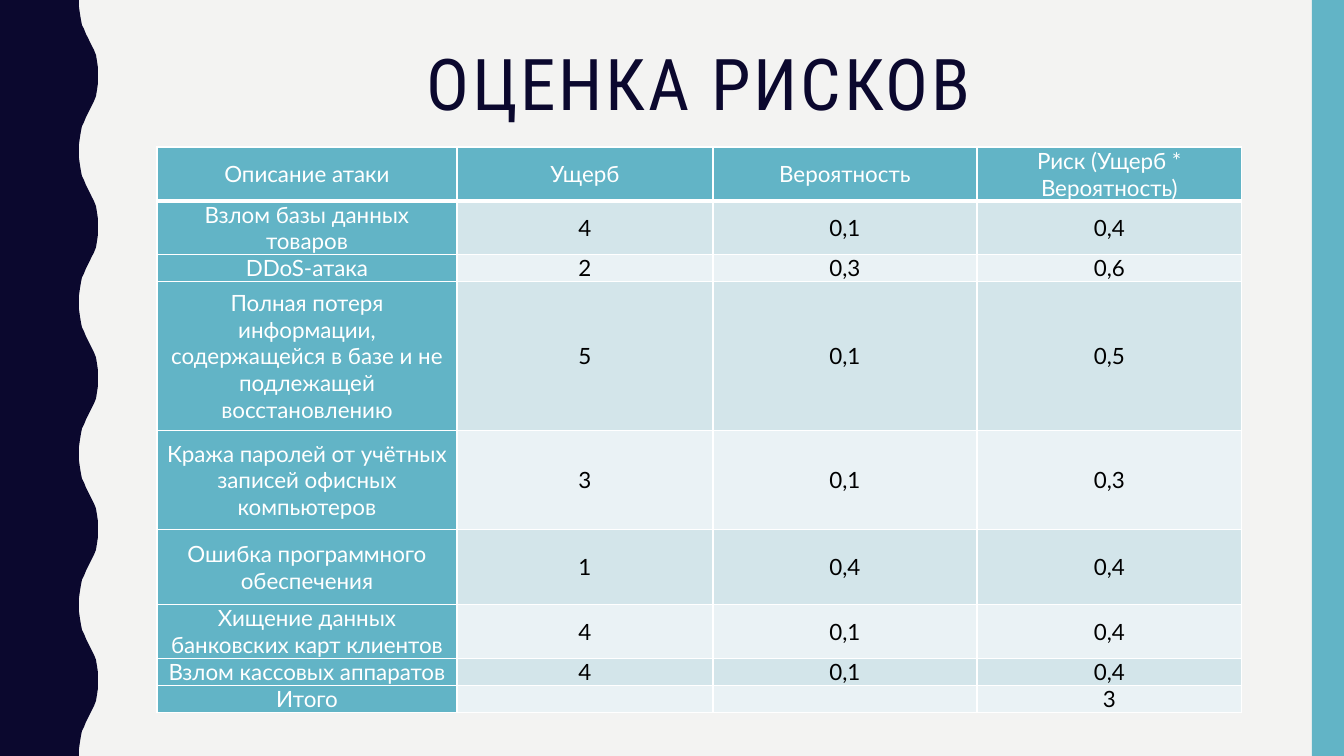
import pptx
import pptx.util
import pptx.dml.color
import pptx.enum.shapes
import pptx.enum.text
import pptx.oxml.ns
from lxml import etree

RGBColor = pptx.dml.color.RGBColor
NAVY = RGBColor(0x0B, 0x08, 0x2E)
TEAL = RGBColor(0x62, 0xB4, 0xC6)
PAPER = RGBColor(0xF3, 0xF3, 0xF2)
BAND_DARK = RGBColor(0xD3, 0xE5, 0xEA)
BAND_LIGHT = RGBColor(0xEA, 0xF2, 0xF5)
WHITE = RGBColor(0xFF, 0xFF, 0xFF)
BLACK = RGBColor(0, 0, 0)

WIDTH, HEIGHT = 1344, 756
EMU_PER_PX = 914400 / 100.8

# Half a wave of the left edge, trough to crest: (x, y) in px
HALF_WAVE = [(79, 0), (79, 7), (80, 14), (81, 20), (82, 25), (84, 29), (86, 34),
             (88, 38), (90, 42), (92, 46), (94, 50), (96, 55), (97, 61), (98, 68)]
CREST = 98
WAVES = 5

COLUMNS = [300, 256, 264, 265]
ROW_HEIGHTS = [54, 53, 27, 149, 99, 75, 53, 27, 27]
RISKS = [
    ("Описание атаки", "Ущерб", "Вероятность", "Риск (Ущерб * Вероятность)"),
    ("Взлом базы данных товаров", "4", "0,1", "0,4"),
    ("DDoS-атака", "2", "0,3", "0,6"),
    ("Полная потеря информации, содержащейся в базе и не подлежащей восстановлению",
     "5", "0,1", "0,5"),
    ("Кража паролей от учётных записей офисных компьютеров", "3", "0,1", "0,3"),
    ("Ошибка программного обеспечения", "1", "0,4", "0,4"),
    ("Хищение данных банковских карт клиентов", "4", "0,1", "0,4"),
    ("Взлом кассовых аппаратов", "4", "0,1", "0,4"),
    ("Итого", "", "", "3"),
]
SPACED_ROWS = (4, 5)


def px(n):
    return round(n * EMU_PER_PX)


def write(tf, text, font="Lato", size=16, color=BLACK, spacing=None,
          line=None, after=None):
    """Put one centred paragraph into a text frame."""
    p = tf.paragraphs[0]
    p.alignment = pptx.enum.text.PP_ALIGN.CENTER
    if line is not None:
        p.line_spacing = line
    if after is not None:
        p.space_after = pptx.util.Pt(after)
    if not text:
        etree.SubElement(p._p, pptx.oxml.ns.qn("a:endParaRPr"), sz=str(size * 100))
        return
    r = p.add_run()
    r.text = text
    r.font.name = font
    r.font.size = pptx.util.Pt(size)
    r.font.bold = False
    r.font.color.rgb = color
    if spacing is not None:
        r._r.get_or_add_rPr().set("spc", str(spacing * 100))


def border(cell, side, points):
    qn = pptx.oxml.ns.qn
    ln = etree.SubElement(cell._tc.get_or_add_tcPr(), qn("a:ln" + side),
                          w=str(pptx.util.Pt(points)))
    fill = etree.SubElement(ln, qn("a:solidFill"))
    etree.SubElement(fill, qn("a:srgbClr"), val=str(WHITE))


class Deck:
    """Holds the style and the current slide."""

    def __init__(self):
        self.prs = pptx.Presentation()
        self.prs.slide_width = px(WIDTH)
        self.prs.slide_height = px(HEIGHT)
        self.s = self.prs.slides.add_slide(self.prs.slide_layouts[6])
        self.s.background.fill.solid()
        self.s.background.fill.fore_color.rgb = PAPER

    def paint(self, sp, color):
        sp.shadow.inherit = False
        sp.fill.solid()
        sp.fill.fore_color.rgb = color
        sp.line.fill.background()

    def rect(self, x, y, w, h, color):
        kind = pptx.enum.shapes.MSO_SHAPE.RECTANGLE
        sp = self.s.shapes.add_shape(kind, px(x), px(y), px(w), px(h))
        self.paint(sp, color)

    def outline(self, points, color):
        fb = self.s.shapes.build_freeform(0, 0)
        fb.add_line_segments([(px(x), px(y)) for x, y in points], close=True)
        self.paint(fb.convert_to_shape(), color)

    def text(self, x, y, w, h, text, **fmt):
        tf = self.s.shapes.add_textbox(px(x), px(y), px(w), px(h)).text_frame
        tf.word_wrap = True
        tf.margin_top = px(7)
        write(tf, text, **fmt)

    def table(self, x, y, columns, heights, rows):
        table = self.s.shapes.add_table(len(rows), len(columns), px(x), px(y),
                                        px(sum(columns)), px(sum(heights))).table
        table.first_row = table.horz_banding = False
        for column, width in zip(table.columns, columns):
            column.width = px(width)
        for i, values in enumerate(rows):
            table.rows[i].height = px(heights[i])
            for j, value in enumerate(values):
                self.cell(table.cell(i, j), i, j, value)

    def cell(self, cell, i, j, value):
        heading = i == 0 or j == 0
        cell.margin_left = cell.margin_right = px(6)
        cell.margin_top = cell.margin_bottom = 0
        cell.vertical_anchor = pptx.enum.text.MSO_ANCHOR.MIDDLE
        border(cell, "L", 1)
        border(cell, "R", 1)
        if i == 0:
            border(cell, "T", 1)
        border(cell, "B", 3 if i == 0 else 1)
        cell.fill.solid()
        band = BAND_DARK if i % 2 else BAND_LIGHT
        cell.fill.fore_color.rgb = TEAL if heading else band
        write(cell.text_frame, value, color=WHITE if heading else BLACK,
              after=6 if j == 0 and i in SPACED_ROWS else None)


def wavy_edge():
    period = HEIGHT / WAVES
    fall = [(x, period - y) for x, y in reversed(HALF_WAVE)]
    wave = HALF_WAVE + [(CREST, period / 2)] + fall
    edge = [(x, y + k * period) for k in range(WAVES) for x, y in wave]
    return edge + [(0, HEIGHT)]


def main():
    deck = Deck()
    # Side decoration
    deck.outline(wavy_edge(), NAVY)
    deck.rect(1312, 0, 32, HEIGHT, TEAL)
    # Title
    deck.text(138, 42, 1122, 164, "ОЦЕНКА РИСКОВ", font="Roboto Condensed",
              size=51, color=NAVY, spacing=2, line=0.9)
    # Risk table
    deck.table(157, 147, COLUMNS, ROW_HEIGHTS, RISKS)
    deck.prs.save("out.pptx")


if __name__ == "__main__":
    main()
